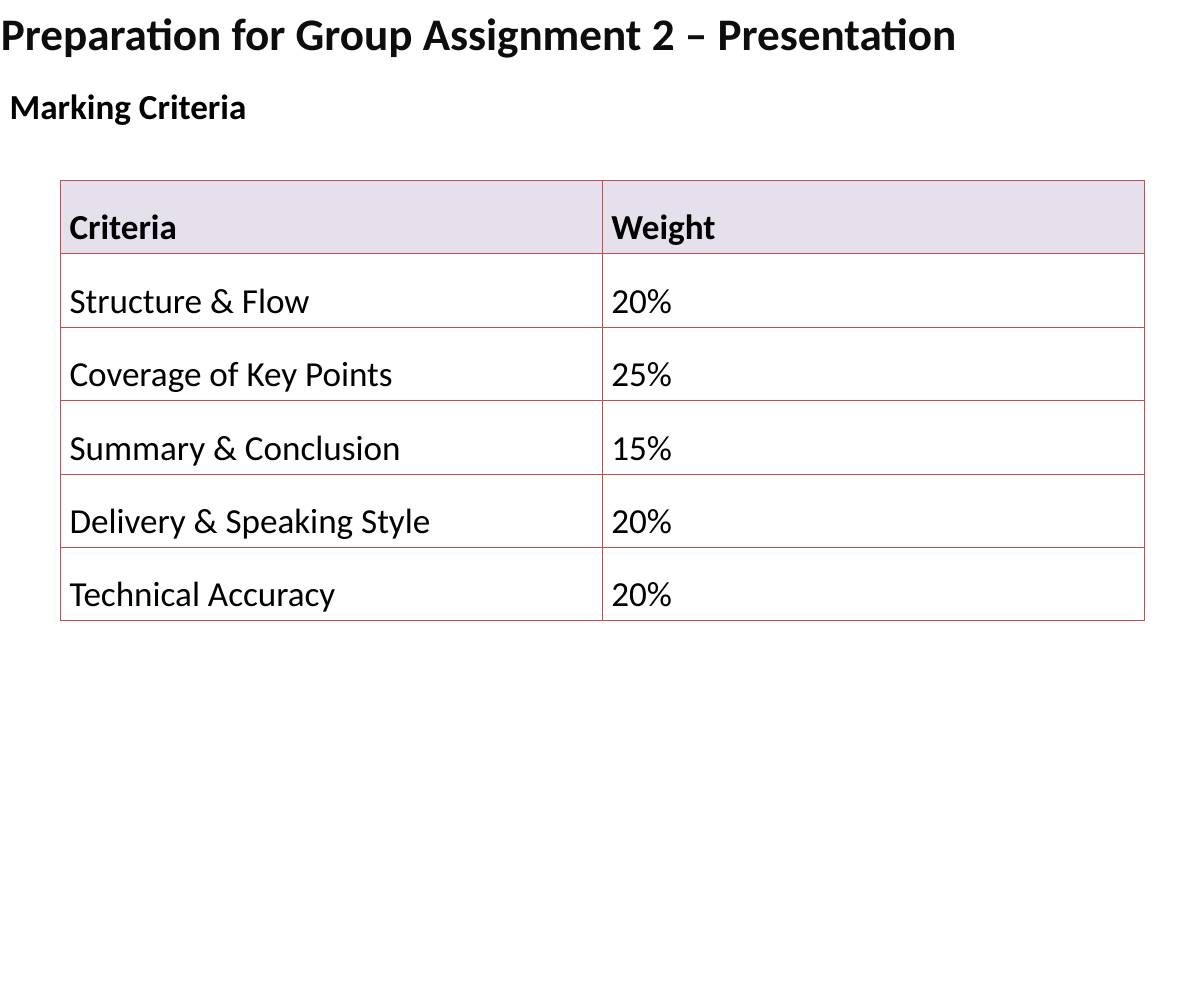
from lxml.etree import SubElement
from pptx import Presentation
from pptx.dml.color import RGBColor
from pptx.enum.text import MSO_ANCHOR, MSO_AUTO_SIZE, PP_ALIGN
from pptx.oxml.ns import qn
from pptx.util import Inches, Pt

SLIDE_WIDTH = 40 / 3
SLIDE_HEIGHT = 11
CRITERIA = [
    ("Criteria", "Weight"),
    ("Structure & Flow", "20%"),
    ("Coverage of Key Points", "25%"),
    ("Summary & Conclusion", "15%"),
    ("Delivery & Speaking Style", "20%"),
    ("Technical Accuracy", "20%"),
]


def color(value):
    return RGBColor.from_string(value)


class SlideBuilder:
    font = "Calibri"
    ink = "000000"
    title_ink = "0D0D0D"
    paper = "FFFFFF"
    header_fill = "E6E0EC"
    border = "C0504D"
    body_size = 28
    title_size = 36

    def __init__(self, slide):
        self.slide = slide

    def format(self, para, size, ink, bold):
        para.alignment = PP_ALIGN.LEFT
        para.font.name = self.font
        para.font.size = Pt(size)
        para.font.bold = bold
        para.font.color.rgb = color(ink)

    def title(self, text, left, top, width, height):
        box = self.slide.shapes.title
        box.left, box.top = Inches(left), Inches(top)
        box.width, box.height = Inches(width), Inches(height)
        box.fill.solid()
        box.fill.fore_color.rgb = color(self.paper)
        frame = box.text_frame
        frame.text = text
        frame.auto_size = MSO_AUTO_SIZE.NONE
        frame.word_wrap = True
        frame.vertical_anchor = MSO_ANCHOR.BOTTOM
        frame.margin_left = frame.margin_right = 0
        frame.margin_top = frame.margin_bottom = 0
        para = frame.paragraphs[0]
        para.line_spacing = 1.5
        para.space_before = Pt(0)
        para.space_after = Pt(8)
        self.format(para, self.title_size, self.title_ink, True)

    def heading(self, text, left, top, width, height):
        box = self.slide.shapes.add_textbox(
            Inches(left), Inches(top), Inches(width), Inches(height))
        frame = box.text_frame
        frame.text = text
        frame.word_wrap = False
        frame.auto_size = MSO_AUTO_SIZE.SHAPE_TO_FIT_TEXT
        frame.vertical_anchor = MSO_ANCHOR.MIDDLE
        self.format(frame.paragraphs[0], self.body_size, self.ink, True)

    def outline(self, cell):
        properties = cell._tc.get_or_add_tcPr()
        for side in ("a:lnL", "a:lnR", "a:lnT", "a:lnB"):
            line = SubElement(properties, qn(side), w=str(Pt(1)))
            fill = SubElement(line, qn("a:solidFill"))
            SubElement(fill, qn("a:srgbClr"), val=self.border)

    def cell(self, cell, text, is_header):
        self.outline(cell)
        if is_header:
            cell.fill.solid()
            cell.fill.fore_color.rgb = color(self.header_fill)
        else:
            cell.fill.background()
        cell.vertical_anchor = MSO_ANCHOR.MIDDLE
        cell.text = text
        para = cell.text_frame.paragraphs[0]
        para.line_spacing = 1.5
        self.format(para, self.body_size, self.ink, is_header)

    def table(self, rows, left, top, width, row_height):
        table = self.slide.shapes.add_table(
            len(rows), len(rows[0]), Inches(left), Inches(top),
            Inches(width), Inches(row_height * len(rows))).table
        table.horz_banding = False
        for row_index, row in enumerate(rows):
            for column_index, text in enumerate(row):
                self.cell(table.cell(row_index, column_index), text, row_index == 0)


def main():
    deck = Presentation()
    deck.slide_width, deck.slide_height = Inches(SLIDE_WIDTH), Inches(SLIDE_HEIGHT)
    builder = SlideBuilder(deck.slides.add_slide(deck.slide_layouts[5]))
    builder.title(
        "Preparation for Group Assignment 2 – Presentation", 0.01, 0.01, SLIDE_WIDTH, 0.65)
    builder.table(CRITERIA, 0.67, 2, 12, 0.81)
    builder.heading("Marking Criteria", 0.01, 0.88, 2.86, 0.57)
    deck.save("out.pptx")


if __name__ == "__main__":
    main()
